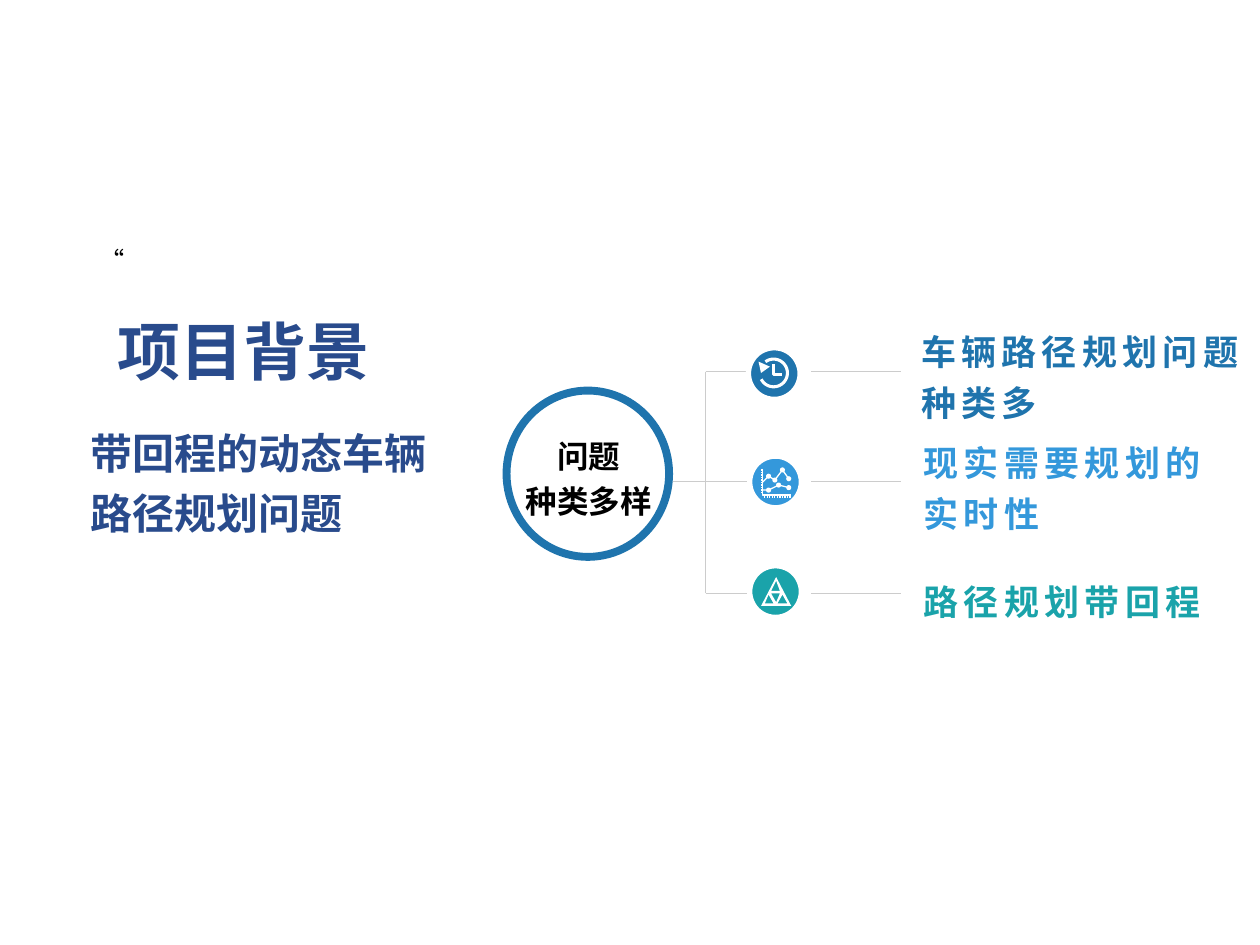
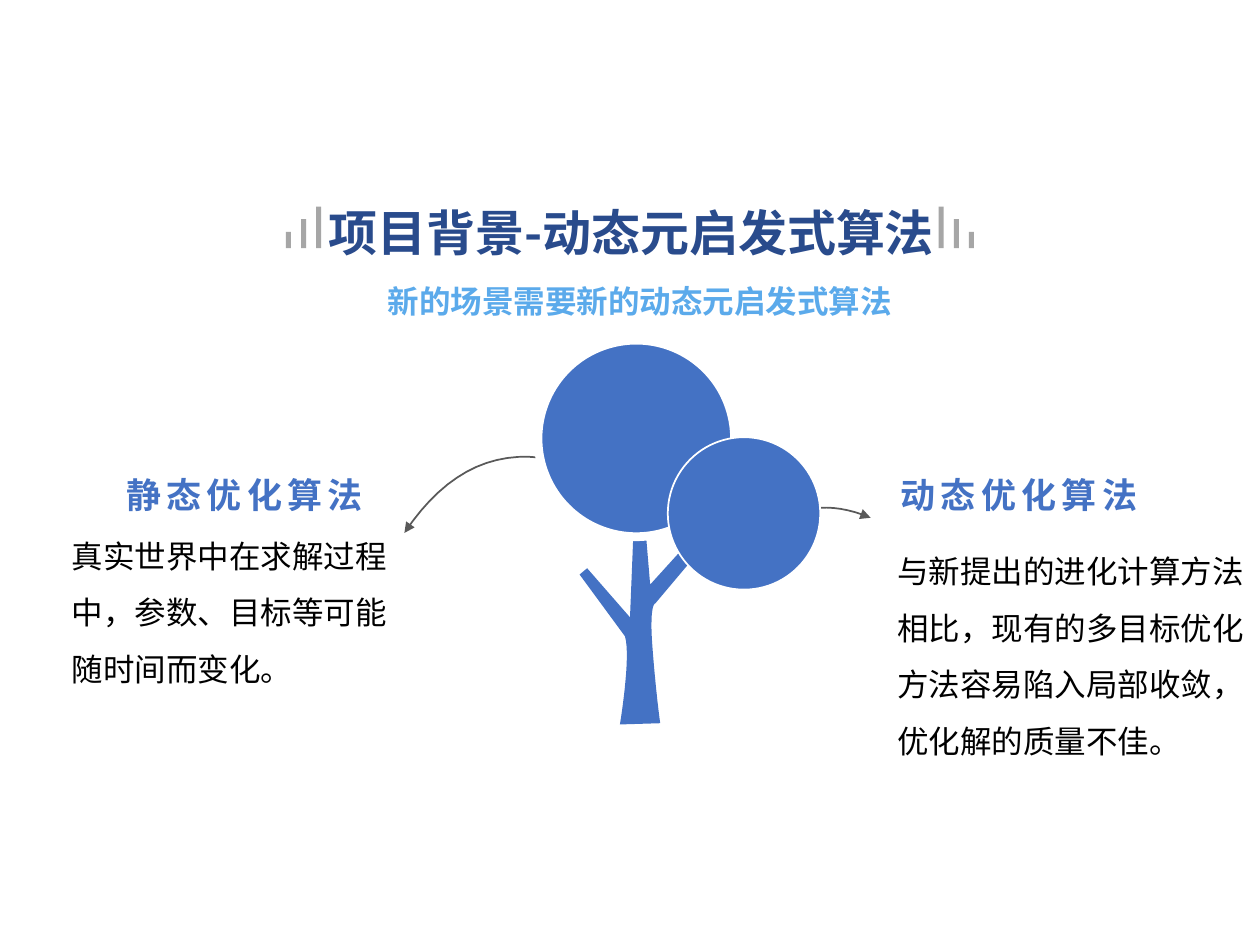
import math
import pptx
import pptx.dml.color
import pptx.enum.shapes
import pptx.enum.text
import pptx.oxml.ns
import pptx.util
from lxml import etree

Inches, Pt = pptx.util.Inches, pptx.util.Pt
rgb = pptx.dml.color.RGBColor.from_string
qn = pptx.oxml.ns.qn
ANCHOR = pptx.enum.text.MSO_ANCHOR
ALIGN = pptx.enum.text.PP_ALIGN
OVAL = pptx.enum.shapes.MSO_SHAPE.OVAL
RECTANGLE = pptx.enum.shapes.MSO_SHAPE.RECTANGLE

CJK = "Noto Sans CJK SC"
WHITE, BLACK, NAVY, RULE = "FFFFFF", "000000", "294B8C", "CCCCCC"
DEEP_BLUE, SKY, TEAL = "1F74AD", "3498DB", "1AA3AA"
TREE_BLUE, SUBTITLE_BLUE, BAR_GREY, ARROW_GREY = "4472C4", "5BAAEB", "A6A6A6", "595959"

HEADING = {"size": 20, "bold": True, "tracking": 300, "anchor": ANCHOR.BOTTOM}
BRANCH = {**HEADING, "insets": (0.07, 0.04, 0.07, 0)}
COLUMN_HEADING = {**HEADING, "colour": TREE_BLUE, "font": "Arial", "insets": (0.1, 0.05, 0.1, 0)}
BODY = {"size": 18, "spacing": 1.5}


def add_text(slide, box, lines, size, colour=BLACK, bold=False, font=CJK, tracking=0,
             spacing=1.2, before=0, align=ALIGN.LEFT, anchor=ANCHOR.TOP,
             insets=(0.1, 0.05, 0.1, 0.05)):
    """Tracking is in hundredths of a point; insets run left, top, right, bottom."""
    frame = slide.shapes.add_textbox(*map(Inches, box)).text_frame
    frame.word_wrap = True
    frame.vertical_anchor = anchor
    for side, inset in zip(("left", "top", "right", "bottom"), insets):
        setattr(frame, f"margin_{side}", Inches(inset))
    for number, line in enumerate(lines):
        paragraph = frame.add_paragraph() if number else frame.paragraphs[0]
        for name, value in {"alignment": align, "line_spacing": spacing,
                            "space_before": Pt(before)}.items():
            setattr(paragraph, name, value)
        run = paragraph.add_run()
        run.text = line
        for name, value in {"size": Pt(size), "bold": bold, "name": font}.items():
            setattr(run.font, name, value)
        run.font.color.rgb = rgb(colour)
        properties = run._r.get_or_add_rPr()
        etree.SubElement(properties, qn("a:ea")).set("typeface", CJK)
        if tracking:
            properties.set("spc", str(tracking))


def add_outline(slide, contours, fill=None, line=None, weight=1):
    """Each step after a contour's start is a point or, with six numbers, a cubic curve."""
    builder = None
    for start, *steps in contours:
        points = [start]
        for step in steps:
            if len(step) == 2:
                points.append(step)
                continue
            knots = [points[-1], step[:2], step[2:4], step[4:]]
            for t in (i / 16 for i in range(1, 17)):
                weights = ((1 - t) ** 3, 3 * t * (1 - t) ** 2, 3 * t * t * (1 - t), t ** 3)
                points.append(tuple(sum(w * k[axis] for w, k in zip(weights, knots))
                                    for axis in (0, 1)))
        points = [(Inches(x), Inches(y)) for x, y in points]
        if builder is None:
            builder = slide.shapes.build_freeform(*points[0], scale=1.0)
        else:
            builder.move_to(*points[0])
        builder.add_line_segments(points[1:], close=fill is not None)
    shape = builder.convert_to_shape()
    shape.shadow.inherit = False
    for part, colour in ((shape.fill, fill), (shape.line.fill, line)):
        if colour:
            part.solid()
            part.fore_color.rgb = rgb(colour)
        else:
            part.background()
    if line:
        shape.line.width = Pt(weight)
    return shape


deck = pptx.Presentation()
deck.slide_width, deck.slide_height = Inches(10), Inches(7.5)
background, algorithms = [deck.slides.add_slide(deck.slide_layouts[6]) for _ in range(2)]

# Slide 1: project background and its three branches
add_text(background, (0.72, 1.83, 0.34, 0.4), ["“"], 14.4, spacing=1.3,
         anchor=ANCHOR.MIDDLE, insets=(0.07, 0.04, 0.07, 0.04))
add_text(background, (0.62, 3.26, 3.15, 1.32), ["带回程的动态车辆路径规划问题"], 24, NAVY, True)
add_text(background, (0.72, 2.19, 3.15, 0.93), ["项目背景"], 36, NAVY, True, spacing=1.4,
         insets=(0.21, 0.05, 0.1, 0.05))

spine, branch_levels = 5.6, (2.95, 3.82, 4.71)
rules = [(5.34, 3.82, spine, 3.82), (spine, branch_levels[0], spine, branch_levels[-1])]
for level in branch_levels:
    rules += [(spine, level, 6.18, level), (6.44, level, 7.15, level)]
for ends in rules:
    rule = background.shapes.add_connector(
        pptx.enum.shapes.MSO_CONNECTOR.STRAIGHT, *map(Inches, ends))
    rule.line.color.rgb = rgb(RULE)
    rule.line.width = Pt(0.5)
    etree.SubElement(rule._element.spPr, qn("a:effectLst"))

# Slide, preset, box, fill, line colour, line width
trend_high = [(6.05, 3.83), (6.1, 3.78), (6.15, 3.81), (6.21, 3.73), (6.26, 3.8)]
trend_low = [(6.05, 3.89), (6.1, 3.89), (6.18, 3.85), (6.26, 3.87)]
presets = [
    (background, OVAL, (4.02, 3.1, 1.29, 1.32), WHITE, DEEP_BLUE, 4.5),
    (background, OVAL, (5.94, 2.76, 0.41, 0.41), DEEP_BLUE, WHITE, 3),
    (background, OVAL, (5.95, 3.62, 0.41, 0.41), SKY, WHITE, 3),
    (background, OVAL, (5.95, 4.49, 0.41, 0.41), TEAL, WHITE, 3),
]
presets += [(background, OVAL, (x - 0.02, y - 0.02, 0.04, 0.04), WHITE, None, 0)
            for x, y in trend_high[1:] + trend_low[1:]]
for step in range(3):
    top, height = 1.64 + 0.1 * step, 0.33 - 0.1 * step
    for left in (2.51 - 0.12 * step, 7.45 + 0.12 * step):
        presets.append((algorithms, RECTANGLE, (left, top, 0.04, height), BAR_GREY, None, 0))

# Slide 2: title, arrows and trunk lie behind the bars and the crown
add_text(algorithms, (2.39, 1.49, 5.24, 0.61), ["项目背景-动态元启发式算法"], 28, NAVY, True,
         align=ALIGN.CENTER, anchor=ANCHOR.MIDDLE)
for arrow in ([(3.21, 4.23), (3.55, 3.72, 3.97, 3.53, 4.48, 3.67)],
              [(6.91, 4.11), (6.58, 3.97, 6.3, 4.01, 6.06, 4.24)]):
    curve = add_outline(algorithms, [arrow], line=ARROW_GREY)
    for end, mark in (("a:headEnd", "triangle"), ("a:tailEnd", "oval")):
        etree.SubElement(curve.line._get_or_add_ln(), qn(end)).set("type", mark)
trunk = [(4.92, 5.75), (4.92, 5.75, 5.01, 5.21, 4.96, 5.05), (4.6, 4.56), (4.66, 4.51),
         (5, 4.9), (5.03, 4.16), (5.12, 4.16), (5.16, 4.64), (5.45, 4.32), (5.52, 4.41),
         (5.2, 4.79), (5.2, 4.79, 5.15, 4.79, 5.18, 5.16),
         (5.21, 5.54, 5.24, 5.74, 5.24, 5.74)]
add_outline(algorithms, [trunk], fill=TREE_BLUE)
presets += [(algorithms, OVAL, (4.27, 2.7, 1.56, 1.56), TREE_BLUE, WHITE, 5),
            (algorithms, OVAL, (5.3, 3.47, 1.21, 1.21), TREE_BLUE, WHITE, 1)]

for slide, preset, box, fill, line, weight in presets:
    shape = slide.shapes.add_shape(preset, *map(Inches, box))
    shape.shadow.inherit = False
    shape.fill.solid()
    shape.fill.fore_color.rgb = rgb(fill)
    if line:
        shape.line.color.rgb = rgb(line)
        shape.line.width = Pt(weight)
    else:
        shape.line.fill.background()

# Icons of slide 1: clock, trend chart, triangles
clock_arc = [(6.14 + 0.11 * math.cos(math.radians(a)), 2.96 + 0.11 * math.sin(math.radians(a)))
             for a in range(153, -135, -9)]
clock_hands = [(6.14, 2.89), (6.14, 2.97), (6.21, 2.97)]
add_outline(background, [clock_arc, clock_hands], line=WHITE, weight=1.75)
add_outline(background, [[(6.02, 2.87), (6.04, 2.96), (6.11, 2.91)]], fill=WHITE)

axes = [(6.05, 3.72), (6.05, 3.93), (6.28, 3.93)]
ticks = [[(6.04, 3.73 + 0.02 * i), (6.06, 3.73 + 0.02 * i)] for i in range(10)]
ticks += [[(6.07 + 0.02 * i, 3.92), (6.07 + 0.02 * i, 3.95)] for i in range(11)]
add_outline(background, [axes, trend_high, trend_low, *ticks], line=WHITE, weight=0.75)

add_outline(background, [
    [(6.16, 4.58), (6.04, 4.81), (6.28, 4.81)],
    [(6.16, 4.61), (6.19, 4.69), (6.12, 4.69)],
    [(6.07, 4.79), (6.1, 4.72), (6.14, 4.79)],
    [(6.12, 4.71), (6.19, 4.71), (6.16, 4.78)],
    [(6.21, 4.72), (6.25, 4.79), (6.17, 4.79)],
], fill=WHITE)

add_text(background, (3.96, 3.36, 1.43, 0.76), ["问题", "种类多样"], 18, bold=True,
         align=ALIGN.CENTER)
for box, branch, colour in (
        ((7.24, 2.66, 2.74, 0.7), "车辆路径规划问题种类多", DEEP_BLUE),
        ((7.26, 3.54, 2.63, 0.7), "现实需要规划的实时性", SKY),
        ((7.26, 4.58, 2.63, 0.36), "路径规划带回程", TEAL)):
    add_text(background, box, [branch], colour=colour, **BRANCH)

# Texts beside the tree
add_text(algorithms, (0.51, 3.69, 2.47, 0.4), ["静态优化算法"], align=ALIGN.RIGHT, **COLUMN_HEADING)
add_text(algorithms, (7.05, 3.69, 2.41, 0.4), ["动态优化算法"], **COLUMN_HEADING)
add_text(algorithms, (0, 4.11, 3.21, 1.58),
         ["真实世界中在求解过程中，参数、目标等可能随时间而变化。"],
         insets=(0.57, 0, 0.07, 0.04), **BODY)
add_text(algorithms, (7.05, 4.23, 2.95, 1.9),
         ["与新提出的进化计算方法相比，现有的多目标优化方法容易陷入局部收敛，优化解的质量不佳。"],
         insets=(0.07, 0, 0.07, 0.04), **BODY)
add_text(algorithms, (2.98, 2.19, 4.33, 0.4), ["新的场景需要新的动态元启发式算法"], 18,
         SUBTITLE_BLUE, True, spacing=1.0, before=10)

deck.save("out.pptx")
